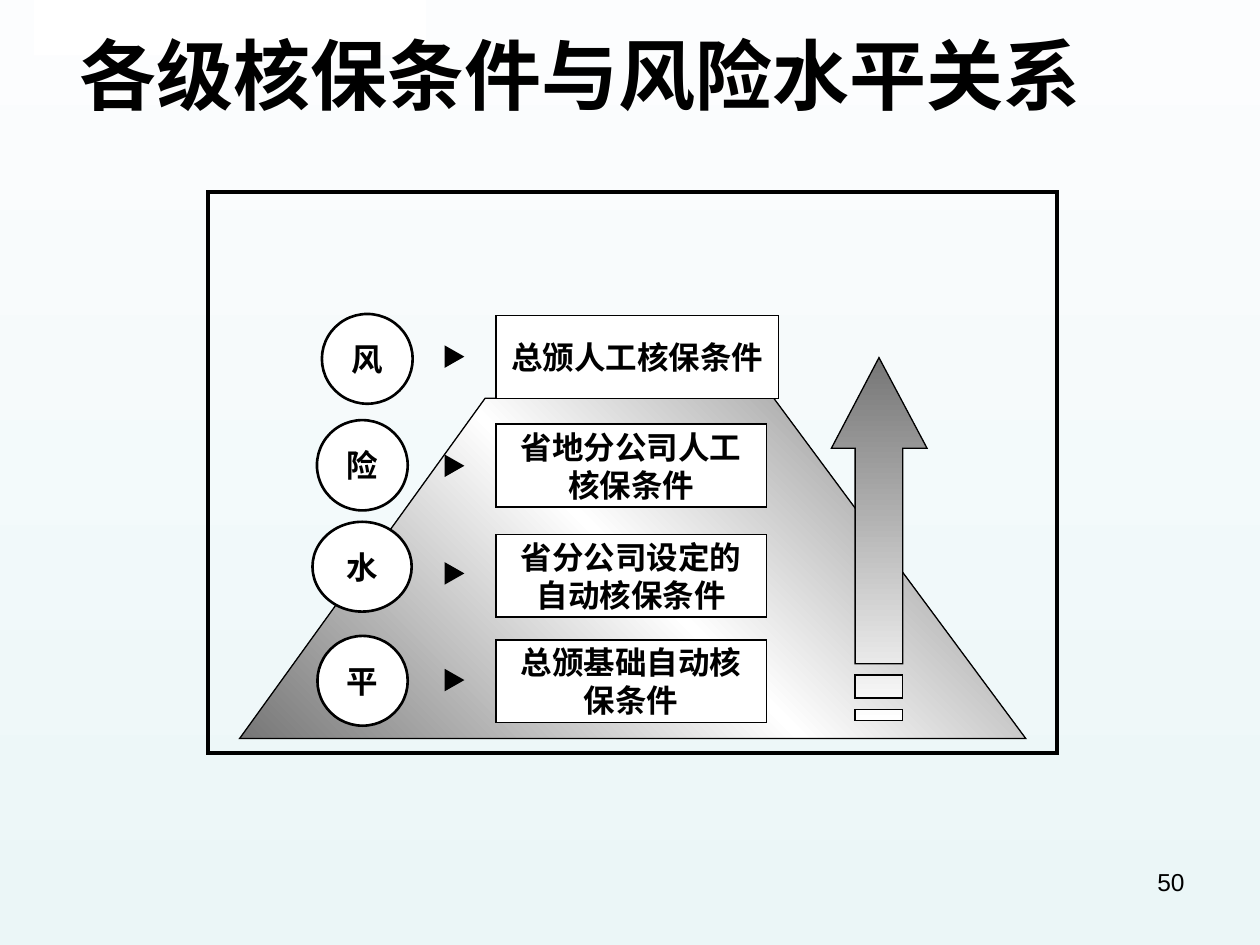
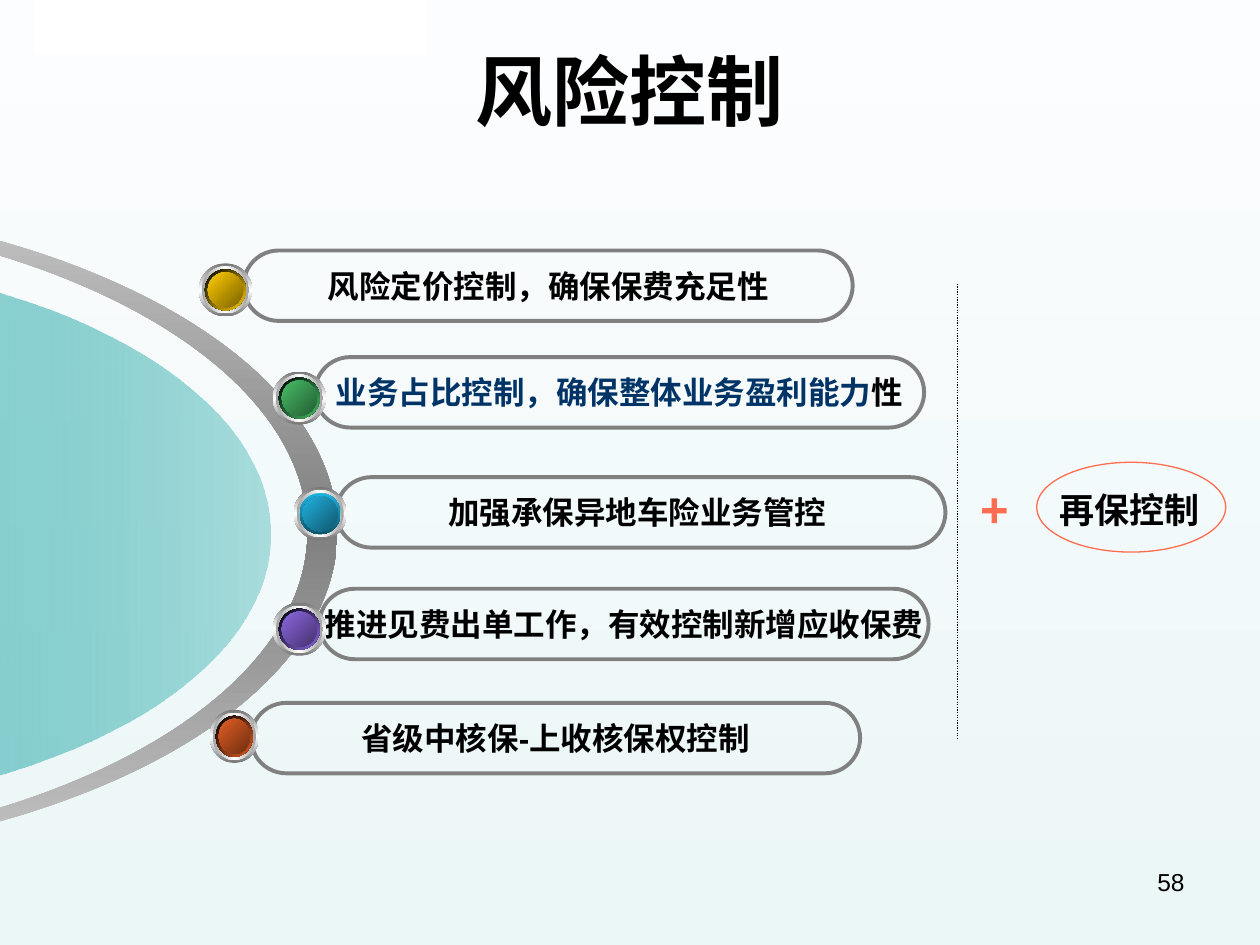
from pptx import Presentation
from pptx.dml.color import RGBColor
from pptx.enum.dml import MSO_LINE
from pptx.enum.shapes import MSO_CONNECTOR, MSO_SHAPE
from pptx.enum.text import MSO_ANCHOR, PP_ALIGN
from pptx.oxml import parse_xml
from pptx.oxml.ns import nsdecls, qn
from pptx.util import Cm, Pt

BLACK, WHITE, GRAY, NAVY, CORAL = "000000", "FFFFFF", "808080", "003366", "FE6D50"
CJK = "Noto Sans CJK SC"
BACKGROUND = ["FCFDFE", "EBF6F7"]
BAND = (0.69, 0, 7.9, 1.12)
PAGE_NUMBER = (18.21, 17.35, 5.92, 1.32)

# Slide 1; all places are in centimetres
LEVELS_TITLE = ("各级核保条件与风险水平关系", (1.09, 0.43, 21.21, 2.9))
FRAME = (4.19, 3.87, 17.12, 11.32)
PYRAMID = [(4.83, 14.89), (20.68, 14.89), (15.6, 8.03), (9.78, 8.03)]
BOX_LEFT, BOX_HEIGHT = 10, 1.67
LEVELS = [  # condition, box top, box width, marker top, letter, circle place
    ("总颁人工核保条件", 6.36, 5.7, 7.01, "风", (6.49, 6.33, 1.83, 1.81)),
    ("省地分公司人工核保条件", 8.55, 5.45, 9.21, "险", (6.39, 8.47, 1.83, 1.82)),
    ("省分公司设定的自动核保条件", 10.77, 5.45, 11.38, "水", (6.3, 10.52, 2, 1.81)),
    ("总颁基础自动核保条件", 12.9, 5.45, 13.53, "平", (6.4, 12.82, 1.82, 1.81)),
]
MARKER_LEFT, MARKER_SIZE = 8.95, (0.41, 0.36)
SHAFT_LEFT, SHAFT_RIGHT = 17.24, 18.2
ARROW_HEAD = [(16.76, 9.04), (SHAFT_LEFT, 9.04), (SHAFT_LEFT, 13.38),
              (SHAFT_RIGHT, 13.38), (SHAFT_RIGHT, 9.04), (18.69, 9.04), (17.72, 7.21)]
ARROW_TAILS = [(13.61, 14.07), (14.3, 14.53)]

# Slide 2
CONTROL_TITLE = ("风险控制", (1.27, 0.76, 22.86, 2.79))
PILL_SIZE = (12.28, 1.42)
CONTROLS = [  # runs, font, pill corner, ball corner, ball width, colour, shade, rim
    ([("风险定价控制，确保保费充足性", BLACK)], CJK,
     (4.91, 5.05), (4.01, 5.31), 1.07, "FFCC00", "7C6300", ([BLACK, "FFCC00"], 45)),
    ([("业务占比控制，确保整体业务盈利能力", NAVY), ("性", BLACK)], CJK,
     (6.35, 7.2), (5.5, 7.49), 1.07, "48BE67", "235C32", ([BLACK, "48BE67"], 45)),
    ([("加强承保异地车险业务管控 ", BLACK)], "Arial",
     (6.78, 9.62), (5.92, 9.82), 1.07, "21B3E1", "10576D", (["21B3E1", "0F5368"], 90)),
    ([("推进见费出单工作，有效控制新增应收保费", BLACK)], "Arial",
     (6.44, 11.87), (5.5, 12.15), 1.07, "8D67E1", "45326D", ([BLACK, "8D67E1"], 45)),
    ([("省级中核保-上收核保权控制", BLACK)], "Arial",
     (5.06, 14.17), (4.23, 14.31), 0.99, "E35E23", "6E2E11", ([BLACK, "E35E23"], 45)),
]
BALL_HEIGHT = 1.07
ARC = [(-6.45, 4.22), (0.56, 4.27), (6.2, 7.16), (6.2, 10.72),
       (6.2, 14.27), (0.56, 17.17), (-6.45, 17.22),
       (-6.45, 17.42), (0.97, 17.37), (6.8, 14.38), (6.8, 10.72),
       (6.8, 7.06), (0.97, 4.06), (-6.25, 4.01)]
ARC_CURVES = (0, 3, 7, 10)  # points where a Bezier curve begins
DOME = [(-5.46, 5.16), (0.58, 5.16), (5.46, 7.67), (5.46, 10.77),
        (5.46, 13.87), (0.58, 16.36), (-5.46, 16.36)]
DOME_CURVES = (0, 3)
DIVIDER = (19.3, 5.72, 19.3, 14.92)
PLUS = (19.51, 9.52, 1.35, 1.45)
REINSURANCE_TEXT = (21.11, 9.73, 3.4, 1.12)
REINSURANCE_OVAL = (20.9, 9.32, 3.81, 1.81)


def rgb(color):
    return RGBColor.from_string(color)


def cms(values):
    return [Cm(v) for v in values]


def gradient(fill, element, colors, angle, first_alpha=100):
    """Spread the colours evenly; the angle runs clockwise from left to right."""
    fill.gradient()
    grad = next(element.iter(qn("a:gradFill")))
    stops = grad.find(qn("a:gsLst"))
    for stop in list(stops):
        stops.remove(stop)
    for i, color in enumerate(colors):
        alpha = first_alpha if i == 0 else 100
        stops.append(parse_xml(
            f'<a:gs {nsdecls("a")} pos="{100000 * i // (len(colors) - 1)}">'
            f'<a:srgbClr val="{color}"><a:alpha val="{alpha * 1000}"/></a:srgbClr></a:gs>'))
    grad.find(qn("a:lin")).set("ang", str(angle * 60000))


def style(sp, fill=None, line=None, width=0.75, angle=0, first_alpha=100):
    """Fill with one colour, a list of gradient colours, or nothing."""
    sp.shadow.inherit = False
    if isinstance(fill, list):
        gradient(sp.fill, sp._element.spPr, fill, angle, first_alpha)
    elif fill:
        sp.fill.solid()
        sp.fill.fore_color.rgb = rgb(fill)
    else:
        sp.fill.background()
    if line:
        sp.line.color.rgb = rgb(line)
        sp.line.width = Pt(width)
        ln = sp._element.spPr.find(qn("a:ln"))
        ln.append(parse_xml(f'<a:miter {nsdecls("a")} lim="800000"/>'))
    else:
        sp.line.fill.background()
    return sp


def add_preset(s, preset, place, **look):
    return style(s.shapes.add_shape(preset, *cms(place)), **look)


def add_outline(s, contours, curves=(), **look):
    """Draw closed contours; each curve takes the three points after its start."""
    start, *rest = contours[0]
    builder = s.shapes.build_freeform(*cms(start), scale=1.0)
    builder.add_line_segments([cms(pt) for pt in rest], close=True)
    for start, *rest in contours[1:]:
        builder.move_to(*cms(start))
        builder.add_line_segments([cms(pt) for pt in rest], close=True)
    sp = builder.convert_to_shape()
    segments = list(sp._element.iter(qn("a:lnTo")))
    for first in curves:
        bezier = parse_xml(f'<a:cubicBezTo {nsdecls("a")}/>')
        segments[first].addprevious(bezier)
        for segment in segments[first:first + 3]:
            bezier.append(segment[0])
            segment.getparent().remove(segment)
    return style(sp, **look)


def write(sp, runs, size=18, font="Arial", bold=True, align=PP_ALIGN.CENTER,
          anchor=MSO_ANCHOR.MIDDLE, wrap=True):
    tf = sp.text_frame
    tf.word_wrap, tf.vertical_anchor = wrap, anchor
    p = tf.paragraphs[0]
    p.alignment = align
    for text, color in runs:
        r = p.add_run()
        r.text = text
        for name, value in {"name": font, "size": Pt(size), "bold": bold}.items():
            setattr(r.font, name, value)
        r.font.color.rgb = rgb(color)
        latin = r._r.rPr.find(qn("a:latin"))
        latin.addnext(parse_xml(f'<a:ea {nsdecls("a")} typeface="{CJK}"/>'))


def add_label(s, place, text, color=BLACK, **format):
    write(s.shapes.add_textbox(*cms(place)), [(text, color)], **format)


def add_base(prs):
    s = prs.slides.add_slide(prs.slide_layouts[6])
    gradient(s.background.fill, s._element, BACKGROUND, 90)
    add_preset(s, MSO_SHAPE.RECTANGLE, BAND, fill=WHITE)
    return s


def add_title_and_number(s, title, number):
    text, place = title
    add_label(s, place, text, size=44, anchor=MSO_ANCHOR.TOP)
    add_label(s, PAGE_NUMBER, number, size=14, bold=False,
              align=PP_ALIGN.RIGHT, anchor=MSO_ANCHOR.TOP)


def build_levels(prs):
    s = add_base(prs)
    add_preset(s, MSO_SHAPE.RECTANGLE, FRAME, line=BLACK, width=2.25)
    add_outline(s, [PYRAMID], fill=["767676", WHITE, "767676"], angle=315, line=BLACK)
    tails = [[(SHAFT_LEFT, bottom), (SHAFT_RIGHT, bottom), (SHAFT_RIGHT, top),
              (SHAFT_LEFT, top)] for top, bottom in ARROW_TAILS]
    add_outline(s, [ARROW_HEAD, *tails], fill=["767676", WHITE], angle=90, line=BLACK)
    for condition, top, width, marker_top, letter, circle in LEVELS:
        box = add_preset(s, MSO_SHAPE.RECTANGLE, (BOX_LEFT, top, width, BOX_HEIGHT),
                         fill=WHITE, line=BLACK)
        write(box, [(condition, BLACK)], font="Comic Neue")
        sp = add_preset(s, MSO_SHAPE.OVAL, circle, fill=WHITE, line=BLACK, width=1.5)
        write(sp, [(letter, BLACK)])
        marker = add_preset(s, MSO_SHAPE.ISOSCELES_TRIANGLE,
                            (MARKER_LEFT, marker_top, *MARKER_SIZE),
                            fill=BLACK, line=BLACK)
        marker.rotation = 90
    add_title_and_number(s, LEVELS_TITLE, "50")


def add_ball(s, corner, width, color, shade, rim):
    left, top = corner
    layers = [  # inset, colours, angle
        (0, ["767676", WHITE, "767676"], 90),
        (0.06, ["A2A2A2", WHITE, "A2A2A2"], 0),
        (0.12, [WHITE, "009999", WHITE], 45),
        (0.12, *rim),
        (0.18, ["005353", "009999", "005353"], 315),
        (0.18, [color, shade], 45),
    ]
    for inset, colors, angle in layers:
        place = (left + inset, top + inset, width - 2 * inset, BALL_HEIGHT - 2 * inset)
        add_preset(s, MSO_SHAPE.OVAL, place, fill=colors, angle=angle)


def build_controls(prs):
    s = add_base(prs)
    add_outline(s, [ARC], ARC_CURVES, fill=["C5C5C5", GRAY, "C5C5C5"], angle=270)
    add_outline(s, [DOME], DOME_CURVES, fill=["009999", "A9DDDD"], first_alpha=36)
    for runs, font, pill_corner, *ball in CONTROLS:
        pill = add_preset(s, MSO_SHAPE.ROUNDED_RECTANGLE, pill_corner + PILL_SIZE,
                          line=GRAY, width=2.25)
        pill.adjustments[0] = 0.5
        write(pill, runs, font=font, wrap=False)
        add_ball(s, *ball)
    add_title_and_number(s, CONTROL_TITLE, "58")
    add_label(s, REINSURANCE_TEXT, "再保控制", size=20, align=PP_ALIGN.LEFT,
              anchor=MSO_ANCHOR.TOP)
    add_preset(s, MSO_SHAPE.OVAL, REINSURANCE_OVAL, line=CORAL)
    add_label(s, PLUS, "+", CORAL, size=28, align=PP_ALIGN.LEFT, wrap=False)
    divider = s.shapes.add_connector(MSO_CONNECTOR.STRAIGHT, *cms(DIVIDER))
    divider.line.color.rgb = rgb(BLACK)
    divider.line.width = Pt(0.75)
    divider.line.dash_style = MSO_LINE.ROUND_DOT
    divider._element.spPr.append(parse_xml(f'<a:effectLst {nsdecls("a")}/>'))


def main():
    prs = Presentation()
    prs.slide_width, prs.slide_height = Cm(25.4), Cm(19.05)
    build_levels(prs)
    build_controls(prs)
    prs.save("out.pptx")


if __name__ == "__main__":
    main()
